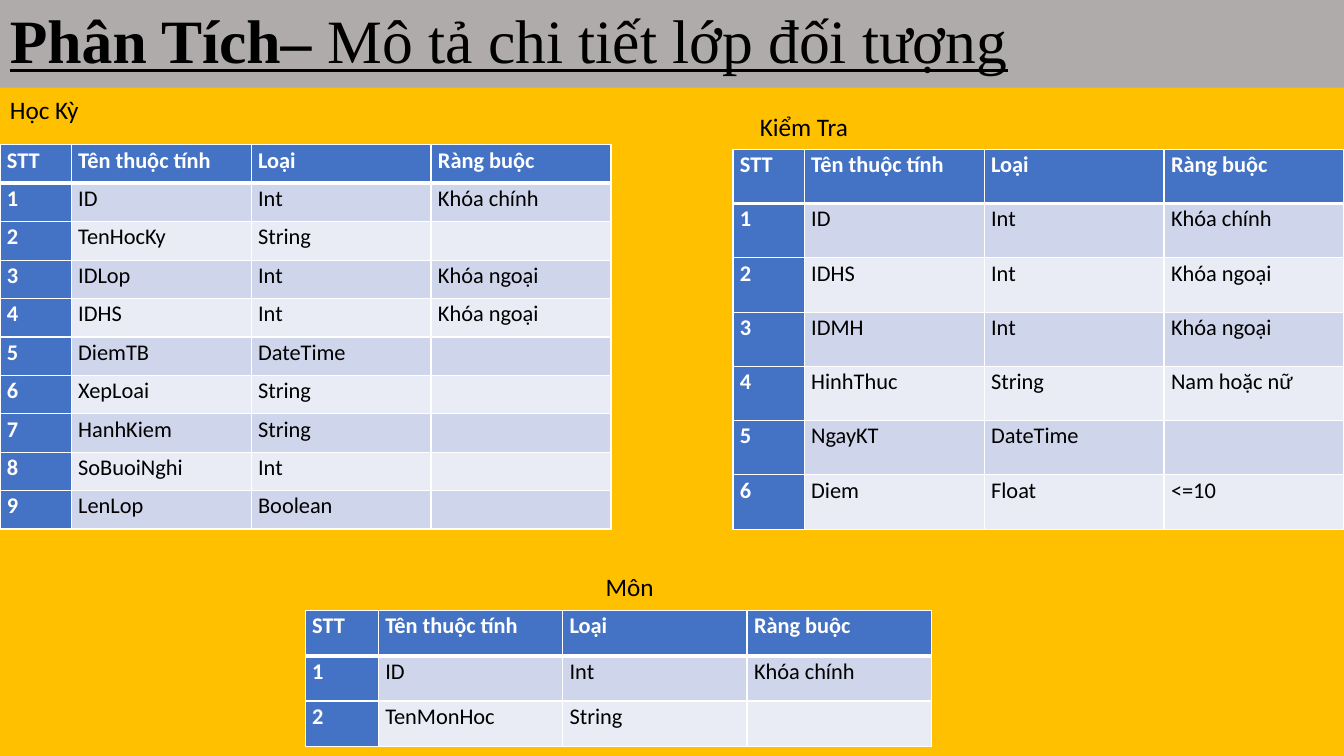
from dataclasses import dataclass

import lxml.etree
import pptx
import pptx.dml.color
import pptx.enum.shapes
import pptx.enum.text
import pptx.oxml.ns
import pptx.slide
import pptx.table
import pptx.text.text
import pptx.util

Pt = pptx.util.Pt
RGBColor = pptx.dml.color.RGBColor
qn = pptx.oxml.ns.qn

AMBER = RGBColor(0xFF, 0xC0, 0x00)
GREY = RGBColor(0xAF, 0xAB, 0xAB)
BLUE = RGBColor(0x44, 0x72, 0xC4)
DARK_BAND = RGBColor(0xCF, 0xD5, 0xEA)
LIGHT_BAND = RGBColor(0xE9, 0xEB, 0xF5)
WHITE = RGBColor(0xFF, 0xFF, 0xFF)
BLACK = RGBColor(0x00, 0x00, 0x00)

SLIDE_WIDTH = 960
SLIDE_HEIGHT = 540
HEADINGS = ("STT", "Tên thuộc tính", "Loại", "Ràng buộc")
PRIMARY = "Khóa chính"
FOREIGN = "Khóa ngoại"


@dataclass(frozen=True)
class EntityClass:
    name: str
    name_left: float
    name_top: float
    left: float
    top: float
    number_width: float
    column_width: float
    row_height: float
    attributes: tuple[tuple[str, str, str], ...]


ENTITY_CLASSES = (
    EntityClass("Học Kỳ", 0, 64.1, 0, 103.5, 50.9, 128.5, 27.45, (
        ("ID", "Int", PRIMARY),
        ("TenHocKy", "String", ""),
        ("IDLop", "Int", FOREIGN),
        ("IDHS", "Int", FOREIGN),
        ("DiemTB", "DateTime", ""),
        ("XepLoai", "String", ""),
        ("HanhKiem", "String", ""),
        ("SoBuoiNghi", "Int", ""),
        ("LenLop", "Boolean", ""),
    )),
    EntityClass("Kiểm Tra", 535.7, 75.8, 523.6, 106.7, 50.9, 128.5, 38.75, (
        ("ID", "Int", PRIMARY),
        ("IDHS", "Int", FOREIGN),
        ("IDMH", "Int", FOREIGN),
        ("HinhThuc", "String", "Nam hoặc nữ"),
        ("NgayKT", "DateTime", ""),
        ("Diem", "Float", "<=10"),
    )),
    EntityClass("Môn", 425.5, 404.8, 218, 436.2, 52.2, 131.7, 32.3, (
        ("ID", "Int", PRIMARY),
        ("TenMonHoc", "String", ""),
    )),
)


def set_font(paragraph: pptx.text.text._Paragraph, face: str, size: float,
             color: RGBColor) -> None:
    paragraph.font.name = face
    paragraph.font.size = Pt(size)
    paragraph.font.color.rgb = color


def set_border(cell: pptx.table._Cell, side: str, width: float) -> None:
    properties = cell._tc.get_or_add_tcPr()
    line = lxml.etree.SubElement(properties, qn(f"a:ln{side}"), w=str(Pt(width)))
    fill = lxml.etree.SubElement(line, qn("a:solidFill"))
    lxml.etree.SubElement(fill, qn("a:srgbClr"), val=str(WHITE))


def fill_cell(cell: pptx.table._Cell, text: str, row: int, column: int) -> None:
    cell.margin_left = cell.margin_right = Pt(5)
    cell.margin_top = cell.margin_bottom = 0
    set_border(cell, "L", 1)
    set_border(cell, "R", 1)
    set_border(cell, "T", 3 if row == 1 else 1)
    set_border(cell, "B", 3 if row == 0 else 1)
    emphasized = row == 0 or column == 0
    band = DARK_BAND if row % 2 else LIGHT_BAND
    cell.fill.solid()
    cell.fill.fore_color.rgb = BLUE if emphasized else band
    cell.text = text
    paragraph = cell.text_frame.paragraphs[0]
    paragraph.line_spacing = 1.07
    set_font(paragraph, "Calibri", 16, WHITE if emphasized else BLACK)
    paragraph.font.bold = emphasized


def add_attribute_table(slide: pptx.slide.Slide, entity: EntityClass) -> None:
    numbered = [(str(number), *attribute)
                for number, attribute in enumerate(entity.attributes, 1)]
    rows = [HEADINGS, *numbered]
    widths = [entity.number_width] + [entity.column_width] * 3
    table = slide.shapes.add_table(
        len(rows), len(HEADINGS), Pt(entity.left), Pt(entity.top),
        Pt(sum(widths)), Pt(entity.row_height * len(rows))).table
    table.first_col = True
    for column, width in zip(table.columns, widths):
        column.width = Pt(width)
    for row, texts in enumerate(rows):
        table.rows[row].height = Pt(entity.row_height)
        for column, text in enumerate(texts):
            fill_cell(table.cell(row, column), text, row, column)


def add_entity_name(slide: pptx.slide.Slide, entity: EntityClass) -> None:
    name = slide.shapes.add_textbox(
        Pt(entity.name_left), Pt(entity.name_top), Pt(175), Pt(29))
    name.text_frame.word_wrap = True
    name.text_frame.auto_size = pptx.enum.text.MSO_AUTO_SIZE.SHAPE_TO_FIT_TEXT
    paragraph = name.text_frame.paragraphs[0]
    paragraph.text = entity.name
    set_font(paragraph, "Calibri", 18, BLACK)


def add_title(slide: pptx.slide.Slide) -> None:
    title = slide.shapes.add_shape(
        pptx.enum.shapes.MSO_SHAPE.RECTANGLE, 0, 0, Pt(SLIDE_WIDTH), Pt(62.6))
    title.shadow.inherit = False
    title.fill.solid()
    title.fill.fore_color.rgb = GREY
    title.line.fill.background()
    title.text_frame.word_wrap = True
    title.text_frame.vertical_anchor = pptx.enum.text.MSO_ANCHOR.MIDDLE
    paragraph = title.text_frame.paragraphs[0]
    paragraph.alignment = pptx.enum.text.PP_ALIGN.LEFT
    paragraph.line_spacing = 0.9
    set_font(paragraph, "Times New Roman", 44, BLACK)
    paragraph.font.underline = True
    for text, bold in (("Phân Tích– ", True), ("Mô tả chi tiết lớp đối tượng", False)):
        run = paragraph.add_run()
        run.text = text
        run.font.bold = bold


def main() -> None:
    presentation = pptx.Presentation()
    presentation.slide_width = Pt(SLIDE_WIDTH)
    presentation.slide_height = Pt(SLIDE_HEIGHT)
    slide = presentation.slides.add_slide(presentation.slide_layouts[6])
    slide.background.fill.solid()
    slide.background.fill.fore_color.rgb = AMBER
    add_title(slide)
    for entity in ENTITY_CLASSES:
        add_attribute_table(slide, entity)
        add_entity_name(slide, entity)
    presentation.save("out.pptx")


if __name__ == "__main__":
    main()
